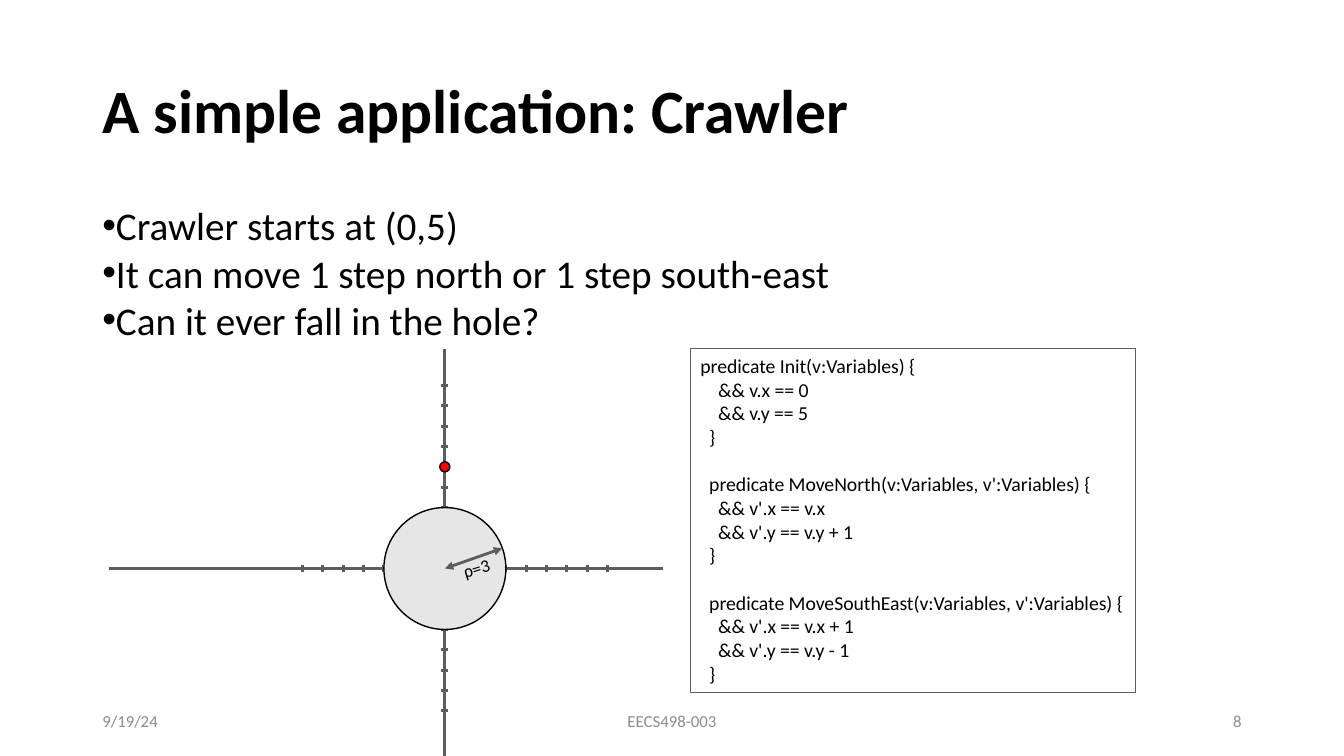
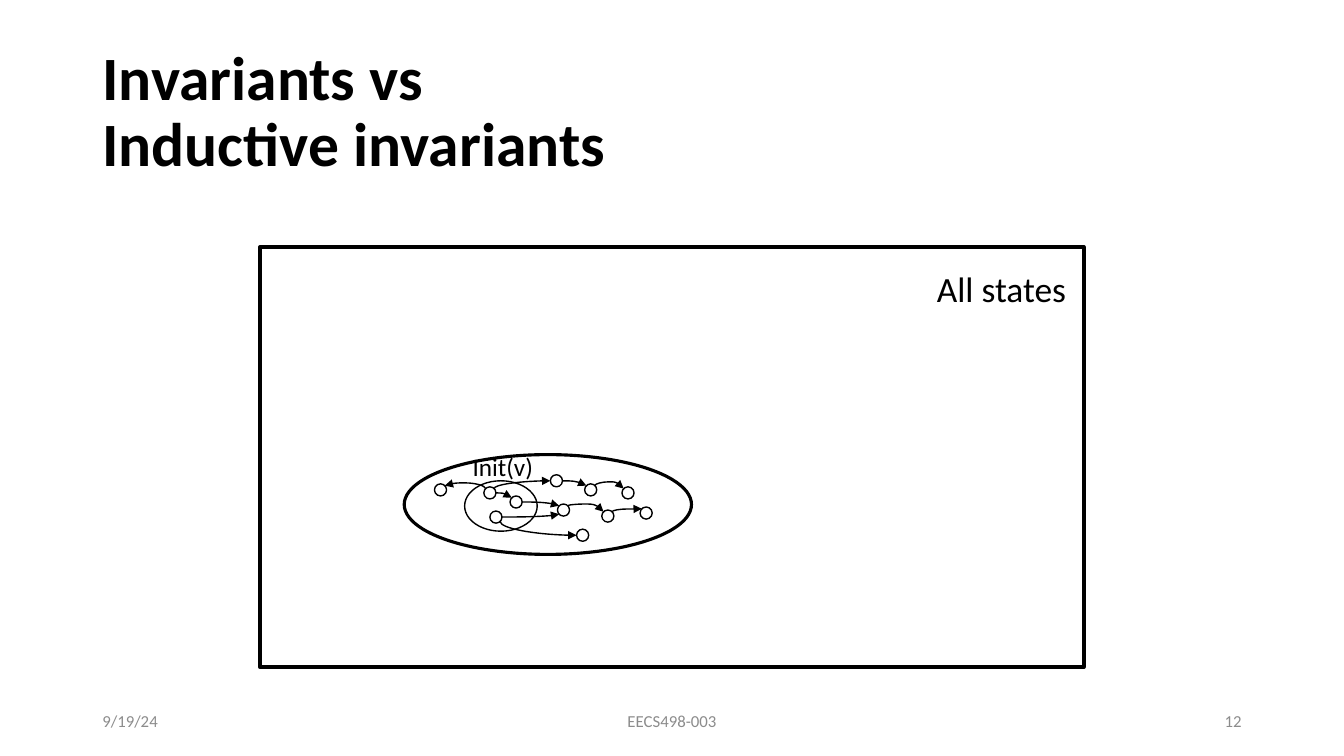
import math

from lxml import etree
from pptx import Presentation
from pptx import util as u
from pptx.dml.color import RGBColor
from pptx.enum import shapes, text
from pptx.oxml import ns

BLACK = RGBColor(0x00, 0x00, 0x00)
WHITE = RGBColor(0xFF, 0xFF, 0xFF)
GREY = RGBColor(0x5A, 0x5F, 0x5E)
PALE = RGBColor(0xE7, 0xE6, 0xE6)
FOOTER_GREY = RGBColor(0x8C, 0x8C, 0x8C)
RED = RGBColor(0xFF, 0x00, 0x00)

COLUMNS, ROWS = 160, 90
LEFT, CENTER, RIGHT = text.PP_ALIGN.LEFT, text.PP_ALIGN.CENTER, text.PP_ALIGN.RIGHT
MIDDLE, TOP = text.MSO_ANCHOR.MIDDLE, text.MSO_ANCHOR.TOP
OVAL, RECT = shapes.MSO_SHAPE.OVAL, shapes.MSO_SHAPE.RECTANGLE
STRAIGHT, CURVE = shapes.MSO_CONNECTOR.STRAIGHT, shapes.MSO_CONNECTOR.CURVE


def sub(parent, tag, **attrs):
    return etree.SubElement(parent, ns.qn(tag), **attrs)


class Deck:
    font = "Calibri"
    title_box = (11, 4.8, 138, 17.4)
    footers = (
        ("9/19/24", (11, 83.4, 36, 4.8), LEFT),
        ("EECS498-003", (53, 83.4, 54, 4.8), CENTER),
    )
    number_box = (113, 83.4, 36, 4.8)

    def __init__(self):
        self.prs = Presentation()
        self.prs.slide_width, self.prs.slide_height = u.Inches(13.33), u.Inches(7.5)
        self.s = None

    def grid(self, *lengths):
        sizes = (self.prs.slide_width / COLUMNS, self.prs.slide_height / ROWS)
        return [round(v * sizes[i % 2]) for i, v in enumerate(lengths)]

    def slide(self, title, number):
        self.s = self.prs.slides.add_slide(self.prs.slide_layouts[5])
        sp = self.s.shapes.title
        sp.left, sp.top, sp.width, sp.height = self.grid(*self.title_box)
        self.fill_text(sp, [title], 44, bold=True, anchor=MIDDLE, spacing=0.9)
        for label, box, align in self.footers + ((str(number), self.number_box, RIGHT),):
            self.label(box, [label], 12, color=FOOTER_GREY, align=align, anchor=MIDDLE)

    def fill_text(self, sp, lines, size, color=BLACK, bold=False, align=LEFT,
                  anchor=TOP, spacing=1.0, inset=None, wrap=True):
        tf = sp.text_frame
        frame = {"word_wrap": wrap, "auto_size": text.MSO_AUTO_SIZE.NONE, "vertical_anchor": anchor}
        if inset is not None:
            sides = ("left", "right", "top", "bottom")
            frame.update({f"margin_{side}": u.Inches(inset) for side in sides})
        for name, value in frame.items():
            setattr(tf, name, value)
        for i, line in enumerate(lines):
            p = tf.paragraphs[0] if i == 0 else tf.add_paragraph()
            p.text, p.alignment, p.line_spacing = line, align, spacing
            for r in p.runs:
                r.font.color.rgb = color
                for name, value in {"name": self.font, "size": u.Pt(size), "bold": bold}.items():
                    setattr(r.font, name, value)
        return tf

    def label(self, box, lines, size, rotation=0, **fmt):
        sp = self.s.shapes.add_textbox(*self.grid(*box))
        sp.rotation = rotation
        return self.fill_text(sp, lines, size, **fmt)

    def bullets(self, box, lines, size):
        for i, p in enumerate(self.label(box, lines, size).paragraphs):
            p.line_spacing = 0.9 if i == 0 else 1.0
            pr = p._p.get_or_add_pPr()
            pr.set("marL", "0")
            pr.set("indent", str(-u.Inches(0.35)))
            sub(pr, "a:buFont", typeface="Arial")
            sub(pr, "a:buChar", char="•")

    def shape(self, kind, box, fill=None, line=BLACK, width=1):
        sp = self.s.shapes.add_shape(kind, *self.grid(*box))
        sp.shadow.inherit = False
        if fill is None:
            sp.fill.background()
        else:
            sp.fill.solid()
            sp.fill.fore_color.rgb = fill
        sp.line.color.rgb, sp.line.width = line, u.Pt(width)
        return sp

    def circle(self, x, y, radius, **fmt):
        return self.shape(OVAL, (x - radius, y - radius, 2 * radius, 2 * radius), **fmt)

    def line(self, x1, y1, x2, y2, color=GREY, width=2, kind=STRAIGHT, heads=()):
        c = self.s.shapes.add_connector(kind, *self.grid(x1, y1, x2, y2))
        c.line.color.rgb, c.line.width = color, u.Pt(width)
        ln = c._element.spPr.get_or_add_ln()
        for head in heads:
            sub(ln, head, type="triangle")
        sub(c._element.spPr, "a:effectLst")
        return c

    def curve(self, start, end, upright, turns, peak=None):
        (x1, y1), (x2, y2) = start, end
        dx, dy = x2 - x1, y2 - y1
        mx, my = (x1 + x2) / 2, (y1 + y2) / 2
        lx, ly = (dy, -dx) if upright else (dx, dy)
        c = self.line(mx - lx / 2, my - ly / 2, mx + lx / 2, my + ly / 2,
                      color=BLACK, width=1, kind=CURVE, heads=("a:tailEnd",))
        spPr = c._element.spPr
        if upright:
            spPr.find(ns.qn("a:xfrm")).set("rot", "5400000")
        geom = spPr.find(ns.qn("a:prstGeom"))
        geom.set("prst", f"curvedConnector{turns}")
        if peak is not None:
            share = round((peak - y1) / dy * 100000)
            sub(geom.find(ns.qn("a:avLst")), "a:gd", name="adj1", fmla=f"val {share}")


CODE = """predicate Init(v:Variables) {
    && v.x == 0
    && v.y == 5
  }
  predicate MoveNorth(v:Variables, v':Variables) {
    && v'.x == v.x
    && v'.y == v.y + 1
  }
  predicate MoveSouthEast(v:Variables, v':Variables) {
    && v'.x == v.x + 1
    && v'.y == v.y - 1
  }""".split("\n")


def crawler(deck):
    deck.slide("A simple application: Crawler", 8)
    deck.bullets((11, 24, 138, 57.1), [
        "Crawler starts at (0,5)",
        "It can move 1 step north or 1 step south-east",
        "Can it ever fall in the hole?",
    ], 28)

    x, y, step, tick = 52.96, 67.68, 2.42, 0.42
    deck.line(x, 41.52, x, ROWS)
    deck.line(12.96, y, 78.96, y)
    for i in range(-9, 8):
        if i:
            deck.line(x - tick, y + i * step, x + tick, y + i * step)
    for i in range(-7, 9):
        if i:
            deck.line(x + i * step, y - tick, x + i * step, y + tick)
    deck.circle(x, y, 3 * step, fill=PALE)
    deck.line(x + 6.84, y - 2.4, x, y, heads=("a:headEnd", "a:tailEnd"))
    deck.label((54.12, 65.88, 5.16, 3.48), ["ρ=3"], 12.7, rotation=342.8,
               align=CENTER, anchor=MIDDLE, inset=0.04)
    deck.circle(x, y - 5 * step, 0.6, fill=RED)

    sp = deck.shape(RECT, (82.2, 41.52, 53.04, 40.92), line=GREY, width=0.75)
    for p in deck.fill_text(sp, CODE, 14.1).paragraphs:
        if p.text.startswith("  predicate"):
            p.space_before = u.Pt(17)


RADIUS = 0.72
STATES = {
    "init_a": (58.32, 58.68), "init_b": (61.44, 59.76), "init_c": (59.04, 61.56),
    "top_a": (66.24, 57.24), "top_b": (70.32, 58.32), "top_c": (74.76, 58.68),
    "mid_a": (67.08, 60.72), "mid_b": (72.36, 61.44), "mid_c": (76.92, 61.08),
    "west": (52.44, 58.32), "south": (69.36, 63.72),
}
STEPS = (
    ("init_a", "E", "init_b", "NW", None),
    ("init_a", "NE", "top_a", "W", None),
    ("init_a", "NW", "west", "NE", 57.48),
    ("init_c", "SE", "south", "W", None),
    ("init_c", "E", "mid_a", "SW", None),
    ("init_b", "E", "mid_a", "NW", None),
    ("mid_a", "NE", "mid_b", "NW", 60),
    ("mid_b", "NE", "mid_c", "NW", 60.6),
    ("top_a", "E", "top_b", "NW", None),
    ("top_b", "NE", "top_c", "NW", 57.36),
)
COMPASS = ("E", "SE", "S", "SW", "W", "NW", "N", "NE")


def rim(state, side):
    x, y = STATES[state]
    angle = COMPASS.index(side) * math.pi / 4
    return x + RADIUS * math.cos(angle), y + RADIUS * math.sin(angle)


def invariants(deck):
    deck.slide("Invariants vs\vInductive invariants", 12)
    deck.shape(RECT, (30.96, 29.4, 98.04, 50.04), width=2.75)
    deck.label((111, 31.32, 16.44, 6), ["All states"], 25.3,
               align=CENTER, anchor=MIDDLE, inset=0.04, wrap=False)
    for x, y in STATES.values():
        deck.circle(x, y, RADIUS, fill=WHITE)
    deck.shape(OVAL, (55.32, 57.24, 8.64, 6))
    for source, out, target, into, peak in STEPS:
        upright = out not in "EW"
        turns = 3 if upright and into not in "EW" else 2
        deck.curve(rim(source, out), rim(target, into), upright, turns, peak)
    deck.label((55.08, 53.16, 9.96, 4.8), ["Init(v)"], 18)
    deck.shape(OVAL, (48.12, 54.12, 34.2, 11.88), width=2.25)


def main():
    deck = Deck()
    crawler(deck)
    invariants(deck)
    deck.prs.save("out.pptx")


if __name__ == "__main__":
    main()
